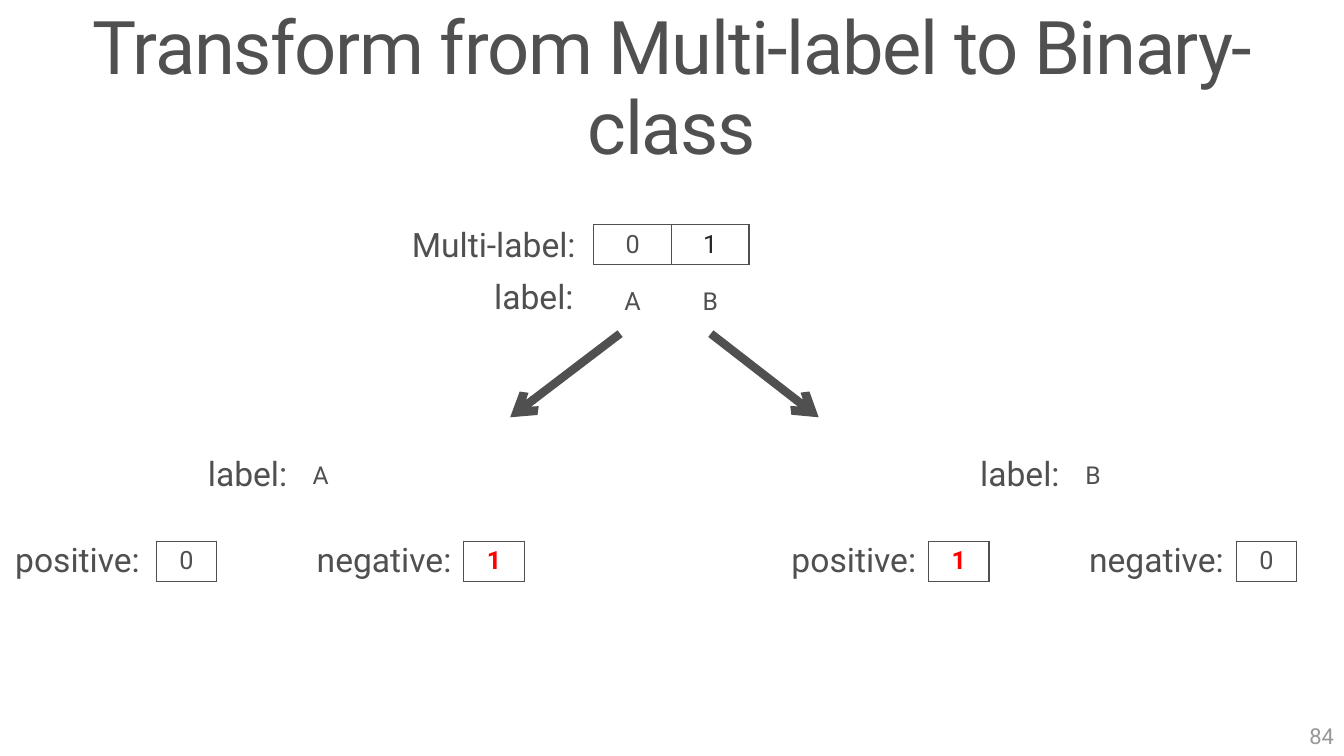
"""Build the slide on turning a multi-label target into binary classes."""
from lxml import etree
from pptx import Presentation
from pptx import util as u
from pptx.dml.color import RGBColor
from pptx.enum import shapes, text
from pptx.oxml import ns

COLORS = {"ink": "505050", "dark": "282828", "red": "FF0000", "gray": "989898"}
RIGHT, CENTER = text.PP_ALIGN.RIGHT, text.PP_ALIGN.CENTER


class SlideBuilder:
    """Hold the style and the current slide, and add elements to it."""

    font_name = "Roboto"
    row_height = 0.39

    def __init__(self, slide):
        self.slide = slide

    def add_run(self, paragraph, words, size, color="ink", bold=False, spacing=None):
        """Add one styled run to a paragraph."""
        run = paragraph.add_run()
        run.text = words
        run.font.name = self.font_name
        run.font.size = u.Pt(size)
        run.font.bold = bold
        run.font.color.rgb = RGBColor.from_string(COLORS[color])
        if spacing is not None:
            run.font._element.set("spc", str(spacing * 100))

    def add_text(self, words, left, top, width, height, size, align, insets=(0.1, 0.05),
                 color="ink", line_spacing=None, space_after=0, spacing=None,
                 anchor=text.MSO_ANCHOR.TOP, grow=False):
        """Add a wrapped text box with one paragraph."""
        box = self.slide.shapes.add_textbox(*map(u.Inches, (left, top, width, height)))
        frame = box.text_frame
        frame.word_wrap = True
        frame.vertical_anchor = anchor
        frame.auto_size = (text.MSO_AUTO_SIZE.SHAPE_TO_FIT_TEXT if grow
                           else text.MSO_AUTO_SIZE.NONE)
        frame.margin_left = frame.margin_right = u.Inches(insets[0])
        frame.margin_top = frame.margin_bottom = u.Inches(insets[1])
        paragraph = frame.paragraphs[0]
        paragraph.alignment = align
        paragraph.line_spacing = line_spacing
        paragraph.space_after = u.Pt(space_after)
        self.add_run(paragraph, words, size, color, spacing=spacing)

    def add_caption(self, words, left, top, width=2.41):
        """Add a right-aligned caption that stands before a table."""
        self.add_text(words, left, top, width, 0.69, 24, RIGHT, insets=(0.2, 0.16),
                      line_spacing=0.9, space_after=6, grow=True)

    def add_cells(self, values, left, top, cell_width, bordered=False):
        """Add a one-row table; each value is (words, size, color, bold)."""
        frame = self.slide.shapes.add_table(
            1, len(values), u.Inches(left), u.Inches(top),
            u.Inches(cell_width * len(values)), u.Inches(self.row_height))
        table = frame.table
        table.first_row = table.horz_banding = False
        for column, (words, size, color, bold) in enumerate(values):
            table.columns[column].width = u.Inches(cell_width)
            cell = table.cell(0, column)
            if bordered:
                self.add_borders(cell)
            cell.fill.background()
            paragraph = cell.text_frame.paragraphs[0]
            paragraph.alignment = CENTER
            self.add_run(paragraph, words, size, color, bold)

    def add_borders(self, cell):
        """Draw a thin line on every side of a cell."""
        properties = cell._tc.get_or_add_tcPr()
        for side in ("a:lnL", "a:lnR", "a:lnT", "a:lnB"):
            line = etree.SubElement(properties, ns.qn(side), w=str(u.Pt(1)))
            fill = etree.SubElement(line, ns.qn("a:solidFill"))
            etree.SubElement(fill, ns.qn("a:srgbClr"), val=COLORS["ink"])

    def add_arrow(self, start, end):
        """Add a thick straight arrow."""
        connector = self.slide.shapes.add_connector(
            shapes.MSO_CONNECTOR.STRAIGHT, *map(u.Inches, (*start, *end)))
        connector.line.width = u.Pt(6)
        connector.line.color.rgb = RGBColor.from_string(COLORS["ink"])
        etree.SubElement(connector.line._get_or_add_ln(), ns.qn("a:tailEnd"), type="arrow")
        etree.SubElement(connector._element.spPr, ns.qn("a:effectLst"))


def main():
    """Create the presentation and save it."""
    presentation = Presentation()
    presentation.slide_width = u.Inches(13.33)
    presentation.slide_height = u.Inches(7.5)
    builder = SlideBuilder(presentation.slides.add_slide(presentation.slide_layouts[6]))

    builder.add_text("84", 10.33, 7.1, 3, 0.4, 15.7, RIGHT, color="gray",
                     anchor=text.MSO_ANCHOR.MIDDLE)
    builder.add_text("Transform from Multi-label to Binary-class", 0, 0, 13.33, 0.98,
                     52.9, CENTER, insets=(0.2, 0.1), line_spacing=0.9, spacing=-1)

    zero = ("0", 18, "ink", False)
    hit = ("1", 18, "red", True)
    builder.add_cells([zero, ("1", 18, "dark", False)], 5.89, 2.23, 0.77, bordered=True)
    builder.add_cells([("A", 18, "ink", False), ("B", 17.6, "ink", False)], 5.89, 2.8, 0.77)
    builder.add_caption("Multi-label:", 1.51, 2.11, 4.4)
    builder.add_caption("label:", 3.48, 2.62)

    branches = [
        ("A", 0, zero, hit, (-0.05, 1.72), (6.15, 3.31), (5.06, 4.14)),
        ("B", 7.66, hit, zero, (6.96, 2.41), (7.05, 3.31), (8.12, 4.14)),
    ]
    for name, shift, positive, negative, (left, width), start, end in branches:
        builder.add_cells([(name, 17.6, "ink", False)], 2.88 + shift, 4.53, 0.6)
        builder.add_caption("label:", 0.64 + shift, 4.38)
        builder.add_cells([positive], 1.55 + shift, 5.37, 0.6, bordered=True)
        builder.add_caption("positive: ", left, 5.23, width)
        builder.add_cells([negative], 4.6 + shift, 5.37, 0.6, bordered=True)
        builder.add_caption("negative: ", 2.35 + shift, 5.23)
        builder.add_arrow(start, end)

    presentation.save("out.pptx")


if __name__ == "__main__":
    main()
